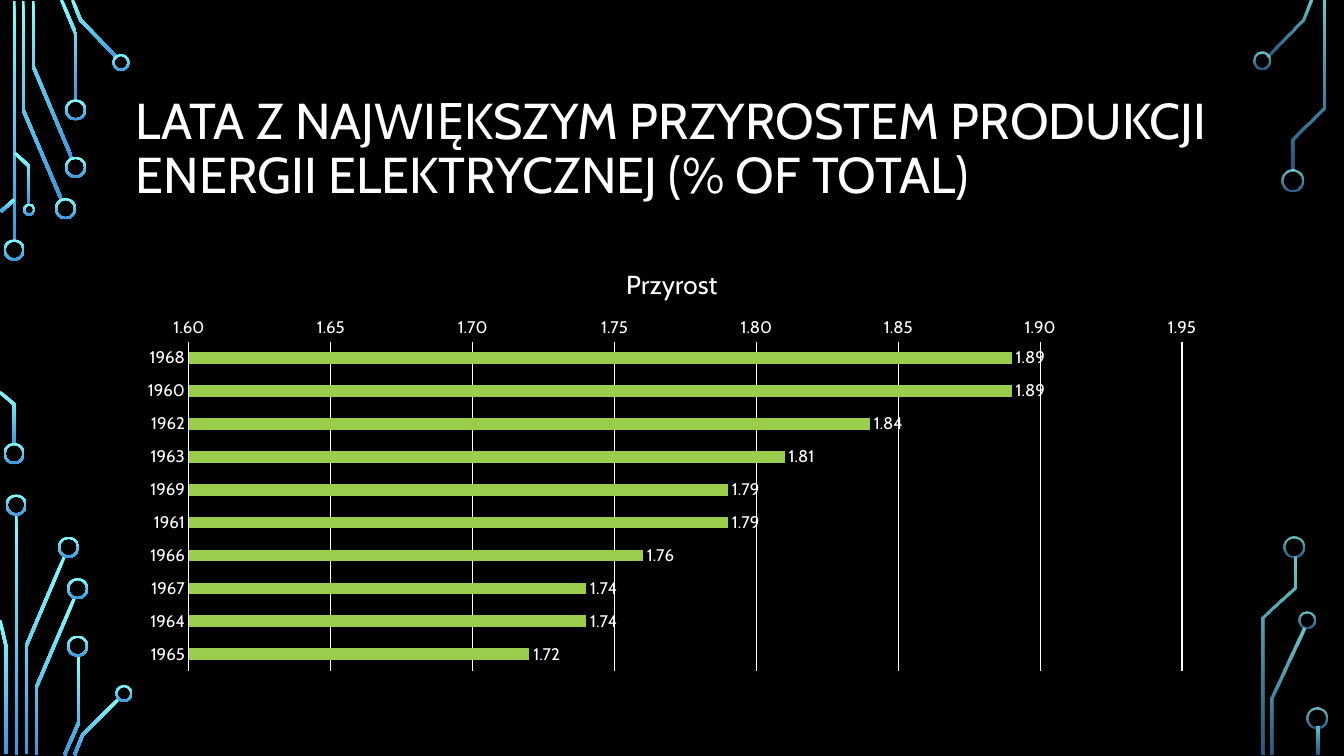
import math

from lxml import etree
from pptx import Presentation
from pptx import util as u
from pptx.chart.data import CategoryChartData
from pptx.dml.color import RGBColor
from pptx.enum import chart as charts, shapes, text
from pptx.oxml.ns import qn

BLACK = RGBColor(0x00, 0x00, 0x00)
WHITE = RGBColor(0xFF, 0xFF, 0xFF)
GREEN = RGBColor(0x9A, 0xCD, 0x4C)
CYAN = RGBColor(0x82, 0xFF, 0xFF)
BLUE = RGBColor(0x3D, 0x97, 0xDE)

FONT = "Cabin"
HEADING = "LATA Z NAJWIĘKSZYM PRZYROSTEM PRODUKCJI ENERGII ELEKTRYCZNEJ (% OF TOTAL)"
HEADING_BOX = (1.25, 0.68, 10.83, 1.62)
GROWTH_BOX = (1.25, 2.46, 10.83, 4.28)
GROWTH_NAME = "Przyrost"
GROWTH = [
    ("1968", 1.89), ("1960", 1.89), ("1962", 1.84), ("1963", 1.81), ("1969", 1.79),
    ("1961", 1.79), ("1966", 1.76), ("1967", 1.74), ("1964", 1.74), ("1965", 1.72),
]
VALUE_AXIS = {
    "minimum_scale": 1.6, "maximum_scale": 1.95, "major_unit": 0.05,
    "has_major_gridlines": True,
}
TICKS = {
    "major_tick_mark": charts.XL_TICK_MARK.NONE,
    "minor_tick_mark": charts.XL_TICK_MARK.NONE,
}
VALUE_LABELS = {
    "show_value": True, "position": charts.XL_LABEL_POSITION.OUTSIDE_END,
    "number_format": "0.00", "number_format_is_linked": False,
}

# Circuit: traces are centre lines, pads are (centre x, centre y, diameter)
TRACE_WIDTH = 0.03
PAD_RIM = 0.02
CIRCUITS = [
    {
        "opacity": (100, 100),
        "traces": [
            [(0.14, 0.01), (0.14, 2.4)],
            [(0.23, 0.01), (0.23, 1.09), (0.61, 1.98)],
            [(0.33, 0.01), (0.33, 0.66), (0.71, 1.56)],
            [(0.61, 0), (0.75, 0.33), (0.75, 1)],
            [(0.72, 0), (0.8, 0.2), (1.16, 0.57)],
            [(0.01, 2.1), (0.14, 1.98)],
            [(0, 3.89), (0.14, 4.01), (0.14, 4.41)],
            [(0.15, 1.52), (0.29, 1.65), (0.29, 2.03)],
            [(0.16, 5.1), (0.16, 7.49)],
            [(0.26, 7.48), (0.26, 6.41), (0.64, 5.52)],
            [(0.06, 7.48), (0.06, 6.41), (0, 6.15)],
            [(0.36, 7.49), (0.36, 6.82), (0.74, 5.93)],
            [(0.64, 7.49), (0.78, 7.17), (0.78, 6.5)],
            [(0.74, 7.49), (0.82, 7.29), (1.18, 6.93)],
        ],
        "pads": [
            (0.14, 2.48, 0.21), (0.14, 4.5, 0.21), (0.65, 2.07, 0.21),
            (0.75, 1.66, 0.21), (0.75, 1.09, 0.21), (1.2, 0.62, 0.17),
            (0.29, 2.08, 0.12), (0.16, 5.01, 0.21), (0.68, 5.43, 0.21),
            (0.77, 5.84, 0.21), (0.77, 6.41, 0.21), (1.23, 6.88, 0.17),
        ],
    },
    {
        "opacity": (80, 60),
        "traces": [
            [(12.57, 0.56), (12.92, 0.2), (13, 0)],
            [(12.62, 7.49), (12.62, 6.93), (12.93, 6.23)],
            [(12.82, 1.69), (12.82, 1.38), (13.13, 1.07), (13.13, 0.01)],
            [(12.53, 7.49), (12.53, 6.13), (12.84, 5.83), (12.84, 5.52)],
            [(13.07, 7.21), (13.07, 7.49)],
        ],
        "pads": [
            (12.52, 0.6, 0.17), (12.82, 1.79, 0.21), (12.96, 6.15, 0.17),
            (12.83, 5.43, 0.21), (13.06, 7.12, 0.21),
        ],
    },
]


def set_all(target, values):
    for name, value in values.items():
        setattr(target, name, value)


def style_font(font, size):
    set_all(font, {"name": FONT, "size": u.Pt(size), "bold": False})
    font.color.rgb = WHITE


def white_line(line):
    line.color.rgb = WHITE
    line.width = u.Pt(0.75)


def glow(shape, opacity):
    """Fill from cyan at the top to blue at the bottom, without outline."""
    shape.shadow.inherit = False
    shape.line.fill.background()
    shape.fill.gradient()
    shape.fill.gradient_angle = 270
    for stop, color in zip(shape.fill.gradient_stops, (CYAN, BLUE)):
        stop.color.rgb = color
    for color, percent in zip(shape._element.spPr.iter(qn("a:srgbClr")), opacity):
        if percent < 100:
            etree.SubElement(color, qn("a:alpha")).set("val", str(percent * 1000))


def side(points, offset):
    """Shift a centre line sideways, with mitred corners."""
    angles = [math.atan2(y2 - y1, x2 - x1)
              for (x1, y1), (x2, y2) in zip(points, points[1:])]
    shifted = []
    for (x, y), before, after in zip(points, angles[:1] + angles, angles + angles[-1:]):
        middle = (before + after) / 2
        reach = offset / math.cos((after - before) / 2)
        shifted.append((x - reach * math.sin(middle), y + reach * math.cos(middle)))
    return shifted


def add_trace(points):
    half = TRACE_WIDTH / 2
    outline = side(points, half) + side(points, -half)[::-1]
    corners = [(u.Inches(x), u.Inches(y)) for x, y in outline]
    builder = slide.shapes.build_freeform(*corners[0])
    builder.add_line_segments(corners[1:], close=True)
    return builder.convert_to_shape()


def add_pad(x, y, diameter):
    box = (x - diameter / 2, y - diameter / 2, diameter, diameter)
    pad = slide.shapes.add_shape(shapes.MSO_SHAPE.DONUT, *map(u.Inches, box))
    pad.adjustments[0] = PAD_RIM / diameter
    return pad


deck = Presentation()
deck.slide_width, deck.slide_height = u.Inches(13.33), u.Inches(7.5)
slide = deck.slides.add_slide(deck.slide_layouts[6])
slide.background.fill.solid()
slide.background.fill.fore_color.rgb = BLACK

for circuit in CIRCUITS:
    for points in circuit["traces"]:
        glow(add_trace(points), circuit["opacity"])
    for pad in circuit["pads"]:
        glow(add_pad(*pad), circuit["opacity"])

heading = slide.shapes.add_textbox(*map(u.Inches, HEADING_BOX)).text_frame
set_all(heading, {"word_wrap": True, "vertical_anchor": text.MSO_ANCHOR.MIDDLE})
heading_line = heading.paragraphs[0]
heading_line.line_spacing = 0.9
heading_run = heading_line.add_run()
heading_run.text = HEADING
style_font(heading_run.font, 36)

growth_data = CategoryChartData(number_format="0.00")
growth_data.categories = [year for year, _ in GROWTH]
growth_data.add_series(GROWTH_NAME, [value for _, value in GROWTH])
growth = slide.shapes.add_chart(
    charts.XL_CHART_TYPE.BAR_CLUSTERED, *map(u.Inches, GROWTH_BOX), growth_data).chart
set_all(growth, {"has_legend": False, "has_title": True})
style_font(growth.font, 10)
growth.chart_title.include_in_layout = False
growth_title = growth.chart_title.text_frame.paragraphs[0].add_run()
growth_title.text = GROWTH_NAME
style_font(growth_title.font, 18.6)

years, values = growth.category_axis, growth.value_axis
for axis in (years, values):
    set_all(axis, TICKS)
    style_font(axis.tick_labels.font, 12)
years.reverse_order = True
white_line(years.format.line)
set_all(values, VALUE_AXIS)
set_all(values.tick_labels, {"number_format": "0.00", "number_format_is_linked": False})
values.format.line.fill.background()
white_line(values.major_gridlines.format.line)

bars = growth.plots[0]
set_all(bars, {"gap_width": 182, "vary_by_categories": False, "has_data_labels": True})
set_all(bars.data_labels, VALUE_LABELS)
style_font(bars.data_labels.font, 12)
bar_fill = bars.series[0].format.fill
bar_fill.solid()
bar_fill.fore_color.rgb = GREEN

deck.save("out.pptx")
